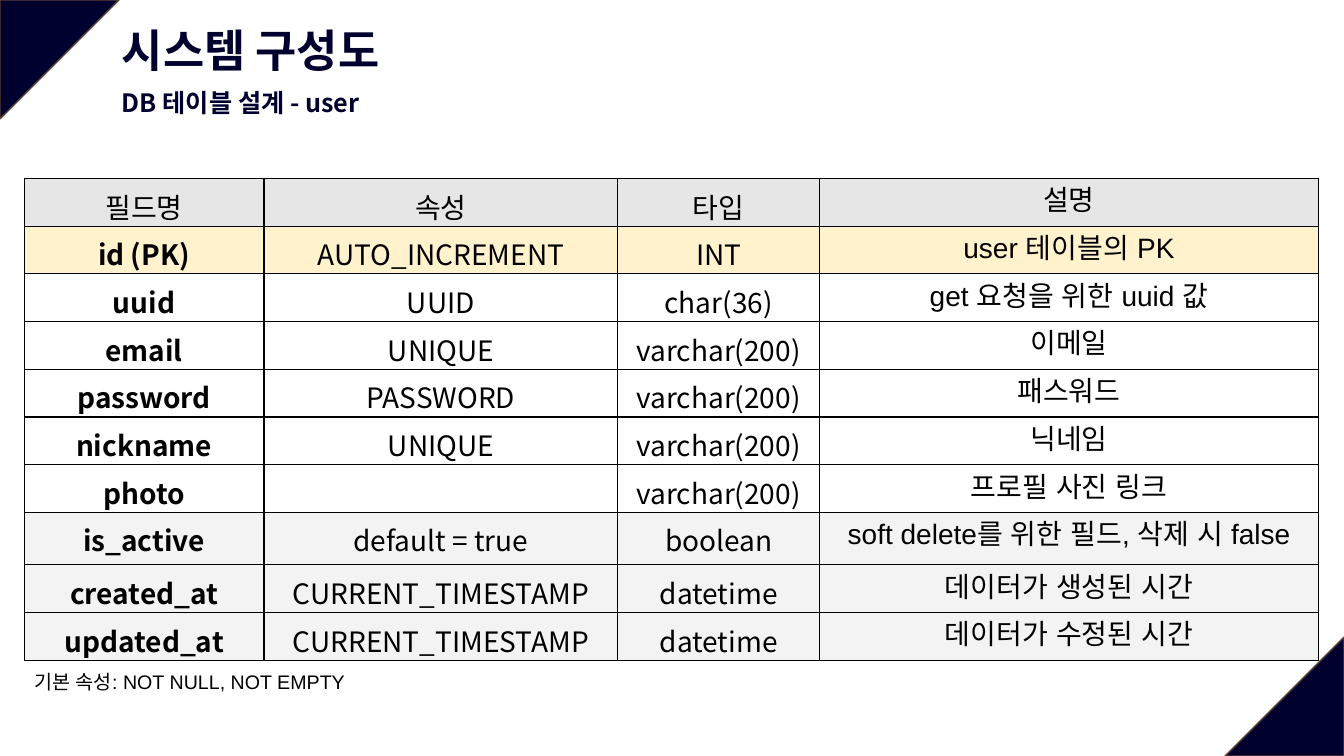
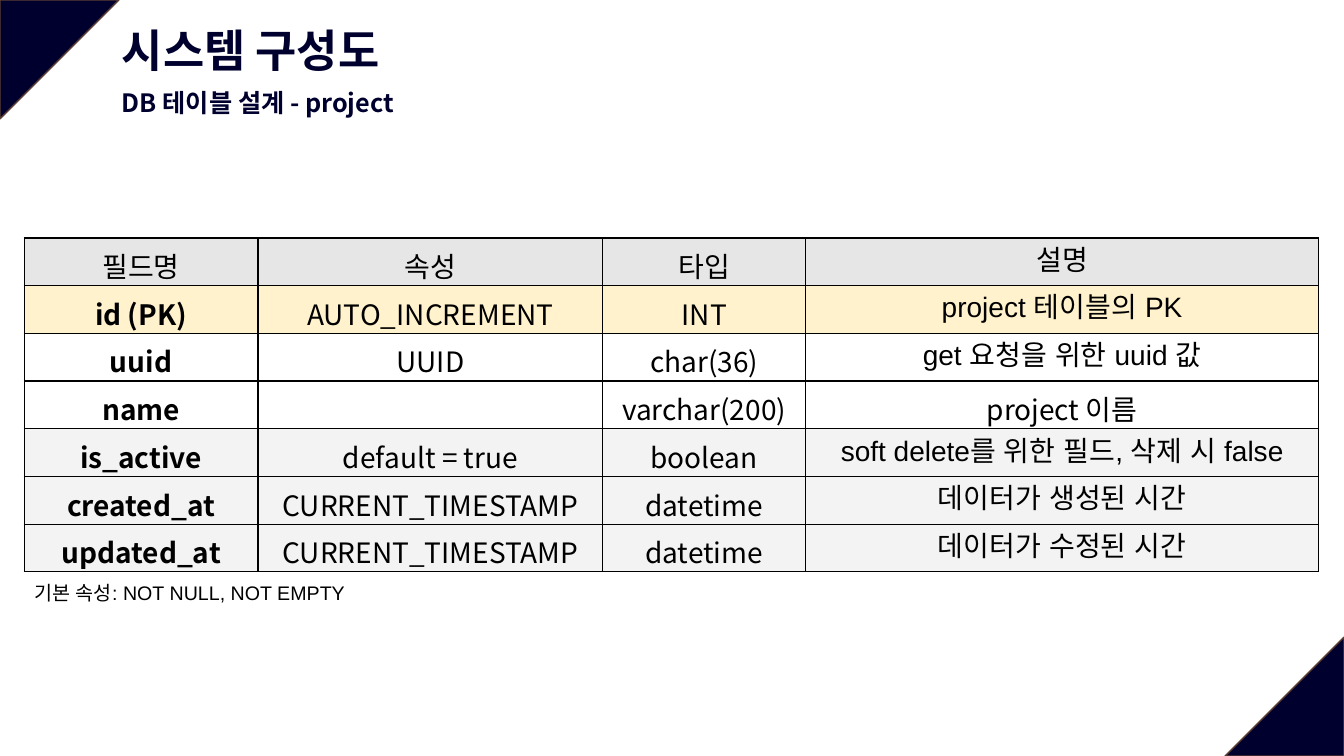
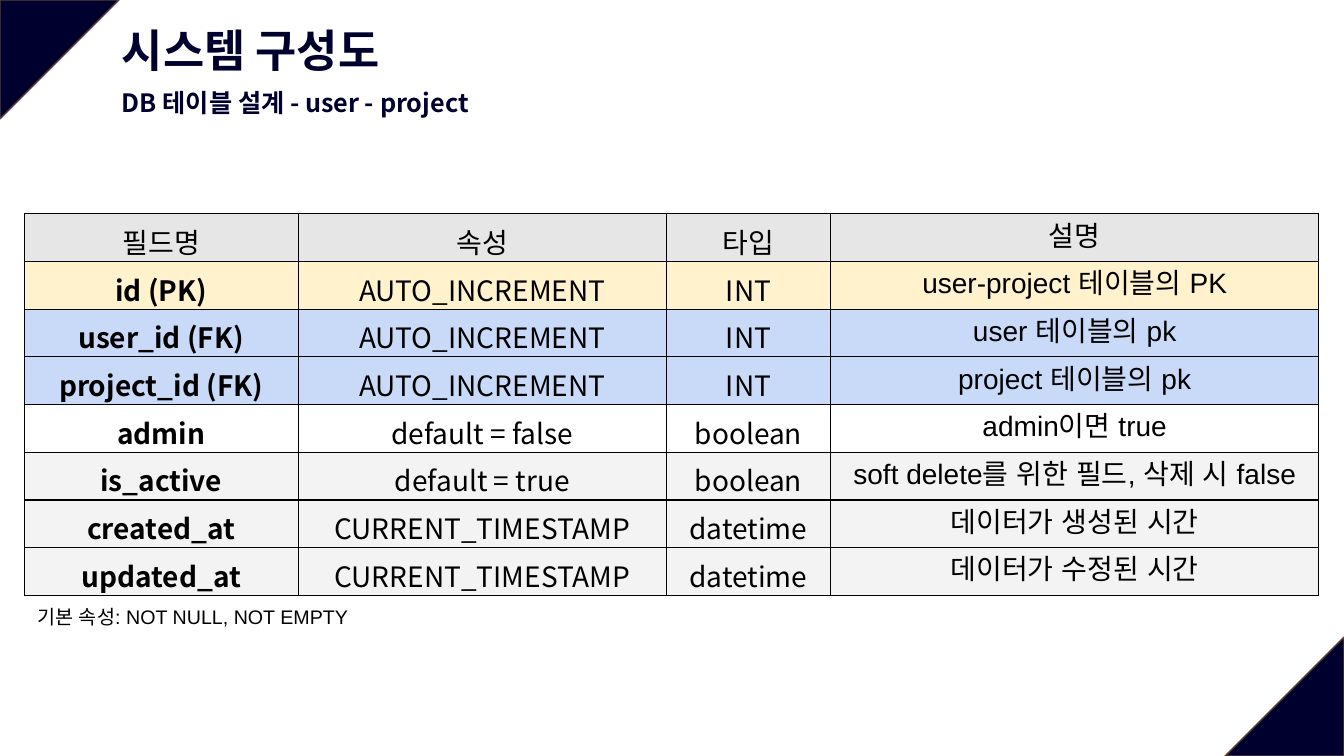
import dataclasses
import itertools
import typing

import lxml.etree
import pptx
import pptx.dml.color
import pptx.enum.shapes
import pptx.enum.text
import pptx.oxml.ns
import pptx.util

RGBColor = pptx.dml.color.RGBColor
ALIGN = pptx.enum.text.PP_ALIGN

NAVY = RGBColor(0x00, 0x00, 0x2F)
BROWN = RGBColor(0x5B, 0x3F, 0x33)
BLACK = RGBColor(0x00, 0x00, 0x00)
HEADER_GRAY = RGBColor(0xE7, 0xE6, 0xE6)
AUDIT_GRAY = RGBColor(0xF3, 0xF3, 0xF3)
KEY_YELLOW = RGBColor(0xFF, 0xF2, 0xCC)
FOREIGN_BLUE = RGBColor(0xC9, 0xDA, 0xF8)

NOTO = "Noto Sans CJK KR"
ARIAL = "Arial"

SLIDE_WIDTH = pptx.util.Inches(13.33)
SLIDE_HEIGHT = pptx.util.Inches(7.5)
HEADING_LEFT = 8.33
TABLE_LEFT = 1.8
ROW_HEIGHT = 6.3
CELL_MARGIN = pptx.util.Inches(0.07)


def across(percent: float) -> int:
    return round(SLIDE_WIDTH * percent / 100)


def down(percent: float) -> int:
    return round(SLIDE_HEIGHT * percent / 100)


@dataclasses.dataclass(frozen=True)
class TextStyle:
    size: int
    font: str
    color: RGBColor = BLACK
    bold: bool = False
    align: typing.Optional[ALIGN] = None


TITLE = TextStyle(32, NOTO, NAVY, True)
SUBTITLE = TextStyle(18, NOTO, NAVY, True, ALIGN.JUSTIFY)
FOOTNOTE = TextStyle(14, ARIAL)
CELL = TextStyle(20, NOTO, align=ALIGN.CENTER)
FIELD_NAME = dataclasses.replace(CELL, bold=True)
DESCRIPTION = dataclasses.replace(CELL, font=ARIAL)


@dataclasses.dataclass(frozen=True)
class Field:
    name: str
    attribute: str
    kind: str
    description: str
    fill: typing.Optional[RGBColor] = None
    name_style: TextStyle = FIELD_NAME
    description_style: TextStyle = DESCRIPTION
    height: float = ROW_HEIGHT


@dataclasses.dataclass(frozen=True)
class Entity:
    name: str
    subtitle_width: float
    top: float
    columns: tuple[float, ...]
    fields: tuple[Field, ...]
    footnote_left: float = TABLE_LEFT


def primary_key(entity: str) -> Field:
    return Field("id (PK)", "AUTO_INCREMENT", "INT", f"{entity} 테이블의 PK", KEY_YELLOW)


def foreign_key(entity: str) -> Field:
    return Field(f"{entity}_id (FK)", "AUTO_INCREMENT", "INT", f"{entity} 테이블의 pk", FOREIGN_BLUE)


def timestamp(name: str, event: str) -> Field:
    return Field(name, "CURRENT_TIMESTAMP", "datetime", f"데이터가 {event} 시간", AUDIT_GRAY)


HEADER = Field("필드명", "속성", "타입", "설명", HEADER_GRAY, name_style=CELL)
UUID = Field("uuid", "UUID", "char(36)", "get 요청을 위한 uuid 값")
IS_ACTIVE = Field("is_active", "default = true", "boolean",
                  "soft delete를 위한 필드, 삭제 시 false", AUDIT_GRAY)
TIMESTAMPS = (timestamp("created_at", "생성된"), timestamp("updated_at", "수정된"))

ENTITIES = (
    Entity("user", 23.56, 23.6, (17.85, 26.33, 15, 37.13), (
        HEADER,
        primary_key("user"),
        UUID,
        Field("email", "UNIQUE", "varchar(200)", "이메일"),
        Field("password", "PASSWORD", "varchar(200)", "패스워드"),
        Field("nickname", "UNIQUE", "varchar(200)", "닉네임"),
        Field("photo", "", "varchar(200)", "프로필 사진 링크"),
        dataclasses.replace(IS_ACTIVE, height=6.93),
        *TIMESTAMPS,
    )),
    Entity("project", 26.71, 31.47, (17.4, 25.66, 15.08, 38.18), (
        HEADER,
        primary_key("project"),
        UUID,
        Field("name", "", "varchar(200)", "project 이름", description_style=CELL),
        IS_ACTIVE,
        *TIMESTAMPS,
    )),
    Entity("user - project", 33.38, 28.27, (20.4, 27.38, 12.23, 36.31), (
        HEADER,
        primary_key("user-project"),
        foreign_key("user"),
        foreign_key("project"),
        Field("admin", "default = false", "boolean", "admin이면 true"),
        IS_ACTIVE,
        *TIMESTAMPS,
    ), footnote_left=2.03),
)


def write(frame, text: str, style: TextStyle) -> None:
    paragraph = frame.paragraphs[0]
    paragraph.alignment = style.align
    run = paragraph.add_run()
    run.text = text
    run.font.size = pptx.util.Pt(style.size)
    run.font.bold = style.bold
    run.font.color.rgb = style.color
    run.font.name = style.font
    east_asian = lxml.etree.SubElement(run.font._element, pptx.oxml.ns.qn("a:ea"))
    east_asian.set("typeface", style.font)


def add_text(slide, left: float, top: float, width: float, height: float,
             text: str, style: TextStyle, inset: float = 0.05) -> None:
    frame = slide.shapes.add_textbox(across(left), down(top), across(width), down(height)).text_frame
    frame.word_wrap = True
    frame.auto_size = pptx.enum.text.MSO_AUTO_SIZE.SHAPE_TO_FIT_TEXT
    frame.margin_top = frame.margin_bottom = pptx.util.Inches(inset)
    write(frame, text, style)


def add_corner(slide, left: int, top: int, side: int, rotation: int):
    corner = slide.shapes.add_shape(
        pptx.enum.shapes.MSO_SHAPE.ISOSCELES_TRIANGLE, left, top, side, side)
    corner.adjustments[0] = 0
    corner.rotation = rotation
    corner.shadow.inherit = False
    corner.fill.solid()
    corner.fill.fore_color.rgb = NAVY
    corner.line.color.rgb = BROWN
    corner.line.width = pptx.util.Pt(1)
    return corner


def share_corners(slide) -> None:
    side = across(8.85)
    for left, top, rotation in ((0, 0, 90), (SLIDE_WIDTH - side, SLIDE_HEIGHT - side, 270)):
        corner = add_corner(slide, left, top, side, rotation)
        slide.slide_layout.shapes.element.append(corner._element)


def add_borders(cell) -> None:
    properties = cell._tc.get_or_add_tcPr()
    for edge in ("lnL", "lnR", "lnT", "lnB"):
        line = lxml.etree.SubElement(properties, pptx.oxml.ns.qn(f"a:{edge}"), w=str(pptx.util.Pt(1)))
        fill = lxml.etree.SubElement(line, pptx.oxml.ns.qn("a:solidFill"))
        lxml.etree.SubElement(fill, pptx.oxml.ns.qn("a:srgbClr"), val=str(BLACK))


def fill_cell(cell, text: str, style: TextStyle, color: typing.Optional[RGBColor]) -> None:
    cell.margin_left = cell.margin_right = cell.margin_top = cell.margin_bottom = CELL_MARGIN
    add_borders(cell)
    if color is None:
        cell.fill.background()
    else:
        cell.fill.solid()
        cell.fill.fore_color.rgb = color
    if text:
        write(cell.text_frame, text, style)


def add_field_table(slide, entity: Entity, height: float) -> None:
    table = slide.shapes.add_table(
        len(entity.fields), len(entity.columns), across(TABLE_LEFT), down(entity.top),
        across(sum(entity.columns)), down(height)).table
    table.first_row = table.horz_banding = False
    for column, width in zip(table.columns, entity.columns):
        column.width = across(width)
    for row, field in zip(table.rows, entity.fields):
        row.height = down(field.height)
        texts = (field.name, field.attribute, field.kind, field.description)
        styles = (field.name_style, CELL, CELL, field.description_style)
        for cell, text, style, color in zip(row.cells, texts, styles, itertools.repeat(field.fill)):
            fill_cell(cell, text, style, color)


def fill_slide(slide, entity: Entity) -> None:
    height = sum(field.height for field in entity.fields)
    add_text(slide, HEADING_LEFT, 2.4, 27.46, 8.53, "시스템 구성도", TITLE)
    add_text(slide, HEADING_LEFT, 10.93, entity.subtitle_width, 5.33,
             f"DB 테이블 설계 - {entity.name}", SUBTITLE)
    add_field_table(slide, entity, height)
    add_text(slide, entity.footnote_left, entity.top + height, 74.1, 5.87,
             "기본 속성: NOT NULL, NOT EMPTY", FOOTNOTE, inset=0.1)


def main() -> None:
    presentation = pptx.Presentation()
    presentation.slide_width = SLIDE_WIDTH
    presentation.slide_height = SLIDE_HEIGHT
    blank = presentation.slide_layouts[6]
    slides = [presentation.slides.add_slide(blank) for _ in ENTITIES]
    share_corners(slides[0])
    for slide, entity in zip(slides, ENTITIES):
        fill_slide(slide, entity)
    presentation.save("out.pptx")


if __name__ == "__main__":
    main()
